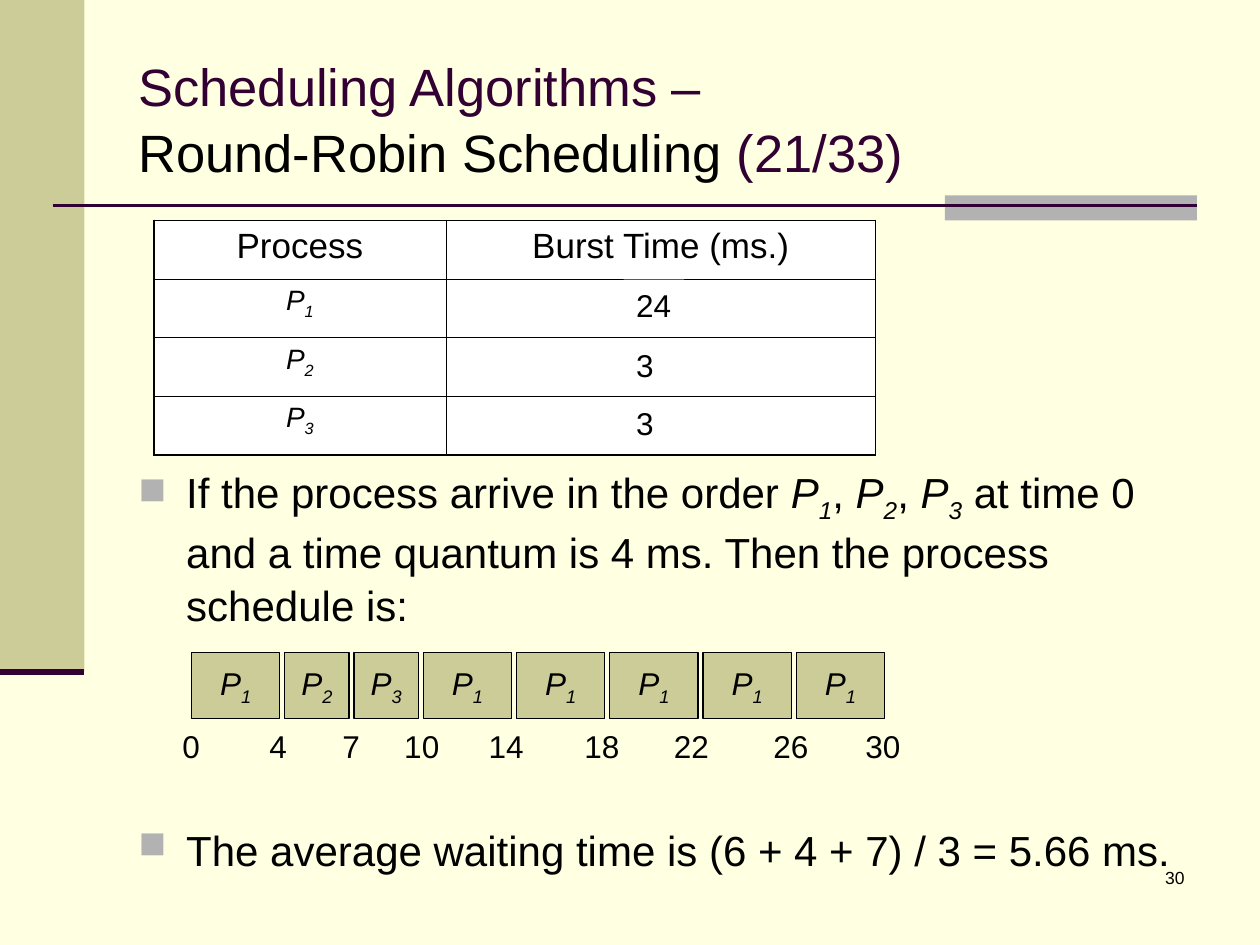
"""Build the round-robin scheduling slide."""
from dataclasses import dataclass

from lxml.etree import SubElement
from pptx import Presentation
from pptx.dml.color import RGBColor
from pptx.enum.shapes import MSO_CONNECTOR, MSO_SHAPE
from pptx.enum.text import MSO_ANCHOR, MSO_AUTO_SIZE, PP_ALIGN
from pptx.oxml.ns import qn
from pptx.util import Inches, Pt


@dataclass(frozen=True)
class Theme:
    font: str = "Arial"
    paper: str = "FFFFE1"
    ink: str = "000000"
    plum: str = "330033"
    sand: str = "CCCC99"
    gray: str = "B2B2B2"
    white: str = "FFFFFF"
    title: int = 30
    body: int = 24
    head: int = 20
    label: int = 18
    cell: int = 16
    page: int = 10
    thick: float = 1.08
    thin: float = 0.45


THEME = Theme()


def paint(fill, color):
    """Give a fill one solid colour."""
    fill.solid()
    fill.fore_color.rgb = RGBColor.from_string(color)


def write(para, text, size=THEME.label, color=THEME.ink, align=None, before=None, lead=None):
    """Add text to a paragraph, with |P1| set as an italic name and subscript."""
    para.alignment = align
    if before is not None:
        para.space_before = Pt(before)
    para.line_spacing = lead
    for index, part in enumerate(text.split("|")):
        name = index % 2 == 1
        for piece, low in ((part[:1], False), (part[1:], True)) if name else ((part, False),):
            if not piece:
                continue
            run = para.add_run()
            run.text = piece
            font = run.font
            font.name, font.size, font.italic = THEME.font, Pt(size), name
            font.color.rgb = RGBColor.from_string(color)
            if low:
                run._r.get_or_add_rPr().set("baseline", "-25000")


def add_box(slide, left, top, width, height, wrap=True, fill=None):
    """Add a text box and return its frame."""
    box = slide.shapes.add_textbox(Inches(left), Inches(top), Inches(width), Inches(height))
    if fill:
        paint(box.fill, fill)
    frame = box.text_frame
    frame.word_wrap = wrap
    frame.auto_size = MSO_AUTO_SIZE.NONE if wrap else MSO_AUTO_SIZE.SHAPE_TO_FIT_TEXT
    return frame


def add_label(slide, left, top, value, fill=None):
    """Add a number in a box as wide as its digits."""
    width = 0.2 + 0.14 * len(value)
    frame = add_box(slide, left, top, width, 0.4, wrap=False, fill=fill)
    write(frame.paragraphs[0], value)


def add_block(slide, left, top, width, height, color):
    """Add a plain filled block."""
    block = slide.shapes.add_shape(
        MSO_SHAPE.RECTANGLE, Inches(left), Inches(top), Inches(width), Inches(height))
    block.shadow.inherit = False
    paint(block.fill, color)
    block.line.fill.background()
    return block


def add_rule(slide, left, right, top, weight):
    """Add a level line."""
    rule = slide.shapes.add_connector(
        MSO_CONNECTOR.STRAIGHT, Inches(left), Inches(top), Inches(right), Inches(top))
    rule.line.color.rgb = RGBColor.from_string(THEME.plum)
    rule.line.width = Pt(weight)
    SubElement(rule._element.spPr, qn("a:effectLst"))


def add_bullet(para):
    """Give a paragraph a square bullet and a hanging indent."""
    props = para._p.get_or_add_pPr()
    props.set("marL", str(Inches(0.38)))
    props.set("indent", str(-Inches(0.38)))
    color = SubElement(props, qn("a:buClr"))
    SubElement(color, qn("a:srgbClr"), val=THEME.gray)
    SubElement(props, qn("a:buSzPct"), val="90000")
    SubElement(props, qn("a:buChar"), char="■")


def add_edge(cell, side, weight):
    """Draw one edge of a table cell."""
    edge = SubElement(cell._tc.get_or_add_tcPr(), qn(f"a:ln{side}"), w=str(Pt(weight)))
    fill = SubElement(edge, qn("a:solidFill"))
    SubElement(fill, qn("a:srgbClr"), val=THEME.ink)


def add_grid(slide):
    """Add the process table and its burst times."""
    rows = [("Process", "Burst Time (ms.)"), ("|P1|", ""), ("|P2|", ""), ("|P3|", "")]
    table = slide.shapes.add_table(
        4, 2, Inches(1.22), Inches(1.75), Inches(5.74), Inches(1.86)).table
    table.first_row = table.horz_banding = False
    for col, width in zip(table.columns, (2.32, 3.41)):
        col.width = Inches(width)
    for y, row in enumerate(rows):
        table.rows[y].height = Inches(0.465)
        size, before = (THEME.head, 5) if y == 0 else (THEME.cell, 4)
        for x, text in enumerate(row):
            cell = table.cell(y, x)
            outer = {"L": x == 0, "R": x == 1, "T": y == 0, "B": y == 3}
            for side, rim in outer.items():
                add_edge(cell, side, THEME.thick if rim else THEME.thin)
            paint(cell.fill, THEME.white)
            write(cell.text_frame.paragraphs[0], text, size=size,
                  align=PP_ALIGN.CENTER, before=before)
    for top, burst in ((2.22, "24"), (2.7, "3"), (3.16, "3")):
        add_label(slide, 4.95, top, burst, fill=THEME.white)


def add_chart(slide):
    """Add the row of time slices and the times below."""
    left = 1.52
    for name in ("P1", "P2", "P3") + ("P1",) * 5:
        width = 0.7 if name == "P1" else 0.51
        bar = add_block(slide, left, 5.18, width, 0.52, THEME.sand)
        bar.line.color.rgb = RGBColor.from_string(THEME.ink)
        bar.line.width = Pt(0.75)
        frame = bar.text_frame
        frame.word_wrap = False
        frame.vertical_anchor = MSO_ANCHOR.MIDDLE
        write(frame.paragraphs[0], f"|{name}|", align=PP_ALIGN.CENTER)
        left += width + 0.04
    times = {"0": 1.35, "4": 2.04, "7": 2.62, "10": 3.11, "14": 3.78,
             "18": 4.54, "22": 5.25, "26": 6.04, "30": 6.77}
    for time, place in times.items():
        add_label(slide, place, 5.72, time)


def add_frame(slide):
    """Add the side band, rules and page number."""
    add_block(slide, 0, 0, 0.67, 5.33, THEME.sand)
    add_block(slide, 7.5, 1.55, 2, 0.2, THEME.gray)
    add_rule(slide, 0.42, 9.5, 1.63, 1.5)
    add_rule(slide, 0, 0.67, 5.33, 3.5)
    page = add_box(slide, 7.42, 6.83, 2.08, 0.5)
    write(page.paragraphs[0], "30", size=THEME.page, align=PP_ALIGN.RIGHT)


def add_title(slide):
    """Add the two-line title."""
    frame = add_box(slide, 1, 0.3, 8.5, 1.25)
    frame.vertical_anchor = MSO_ANCHOR.MIDDLE
    para = frame.paragraphs[0]
    look = {"size": THEME.title, "lead": 1.05}
    write(para, "Scheduling Algorithms –", color=THEME.plum, **look)
    para.add_line_break()
    write(para, "Round-Robin Scheduling ", **look)
    write(para, "(21/33)", color=THEME.plum, **look)


def add_body(slide):
    """Add the two bullet points around the time slices."""
    frame = add_box(slide, 1, 1.75, 8.5, 5.35)
    frame.margin_top = Inches(1.93)
    first, last = frame.paragraphs[0], frame.add_paragraph()
    write(first, "If the process arrive in the order |P1|, |P2|, |P3| at time 0 and a time "
          "quantum is 4 ms. Then the process schedule is:", size=THEME.body, before=6, lead=1.05)
    write(last, "The average waiting time is (6 + 4 + 7) / 3 = 5.66 ms.",
          size=THEME.body, before=110, lead=1.05)
    for para in (first, last):
        add_bullet(para)


def main():
    """Build and save the slide."""
    deck = Presentation()
    deck.slide_width, deck.slide_height = Inches(10), Inches(7.5)
    slide = deck.slides.add_slide(deck.slide_layouts[6])
    paint(slide.background.fill, THEME.paper)
    for step in (add_frame, add_title, add_body, add_grid, add_chart):
        step(slide)
    deck.save("out.pptx")


if __name__ == "__main__":
    main()
